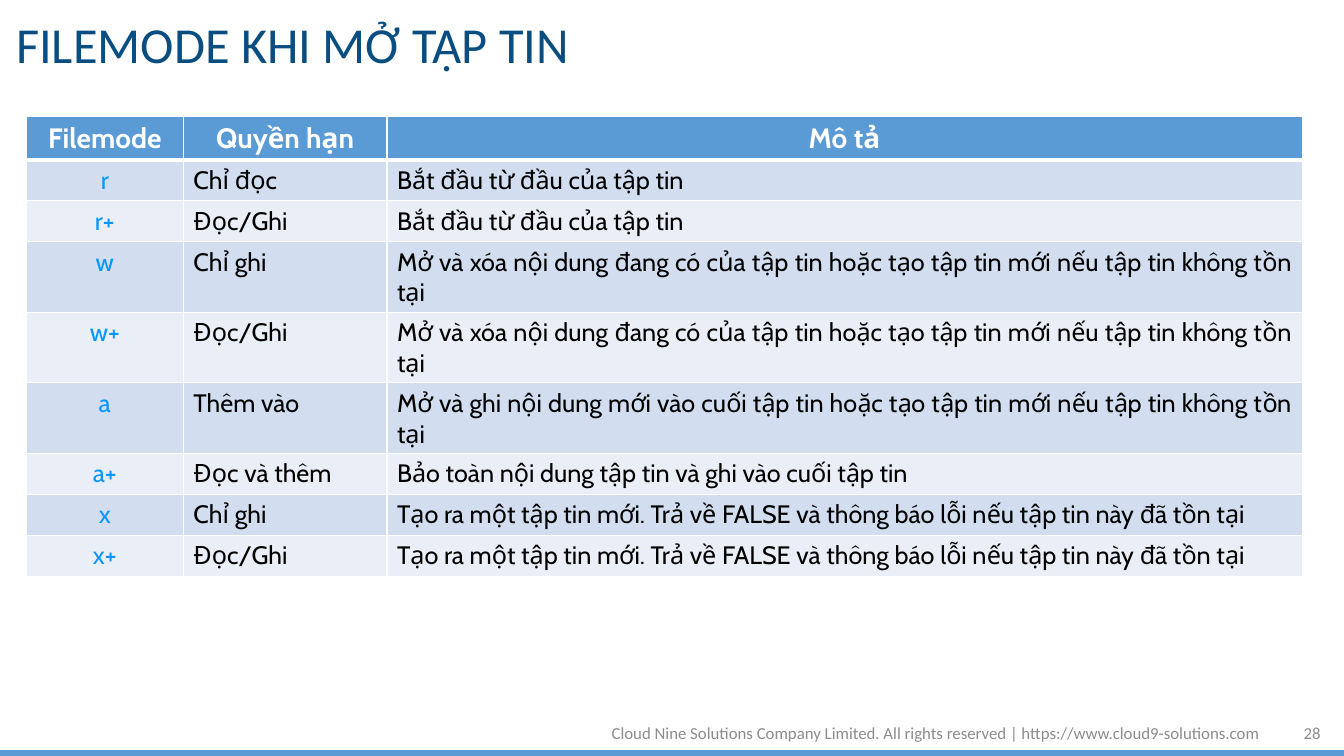
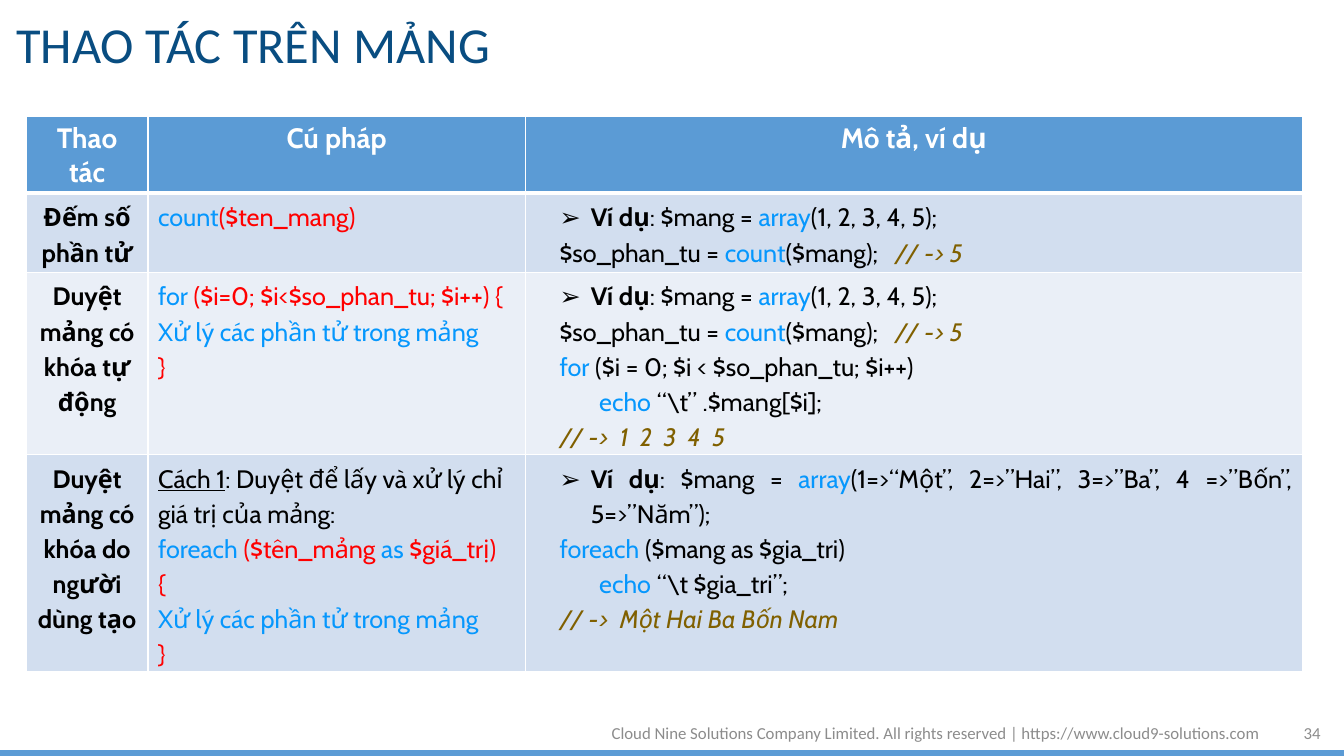
"""Build two slides on PHP file modes and array operations."""
from lxml import etree
from pptx import Presentation
from pptx import util as u
from pptx.dml.color import RGBColor
from pptx.enum import shapes, text
from pptx.oxml.ns import qn

BLUE, NAVY, GREY, BLACK, WHITE = "5B9BD5", "094D81", "8C8C8C", "000000", "FFFFFF"
BAND_FILLS = ("D2DEEF", "EAEFF7")
FOOTER = ("Cloud Nine Solutions Company Limited. All rights reserved | "
          "https://www.cloud9-solutions.com")
ALIGN = text.PP_ALIGN
TABLE_LEFT, TABLE_TOP, ROW_HEIGHT = 18.7, 82.8, 29.3

PLAIN = {"color": BLACK}
BOLD = {"color": BLACK, "bold": True}
UNDERLINED = {"color": BLACK, "underline": True}
KEYWORD = {"color": "0697FD"}
ARGUMENT = {"color": "FF0000"}
COMMENT = {"color": "806000", "italic": True}

OVERWRITE = ("Mở và xóa nội dung đang có của tập tin hoặc tạo tập tin mới "
             "nếu tập tin không tồn tại")
CREATE = "Tạo ra một tập tin mới. Trả về FALSE và thông báo lỗi nếu tập tin này đã tồn tại"
FROM_START = "Bắt đầu từ đầu của tập tin"
FILE_MODES = [
    ("r", "Chỉ đọc", FROM_START),
    ("r+", "Đọc/Ghi", FROM_START),
    ("w", "Chỉ ghi", OVERWRITE),
    ("w+", "Đọc/Ghi", OVERWRITE),
    ("a", "Thêm vào", "Mở và ghi nội dung mới vào cuối tập tin hoặc tạo tập tin mới "
                      "nếu tập tin không tồn tại"),
    ("a+", "Đọc và thêm", "Bảo toàn nội dung tập tin và ghi vào cuối tập tin"),
    ("x", "Chỉ ghi", CREATE),
    ("x+", "Đọc/Ghi", CREATE),
]


def array_example(values):
    """Return the runs of an example line that fills an array."""
    return [("Ví dụ", BOLD), (": $mang = ", PLAIN), ("array", KEYWORD), (values, PLAIN)]


def echo_line(argument):
    """Return the runs of an indented echo statement."""
    return [("       ", PLAIN), ("echo", KEYWORD), (argument, PLAIN)]


COUNT_EXAMPLE = [
    array_example("(1, 2, 3, 4, 5);"),
    [("$so_phan_tu = ", PLAIN), ("count", KEYWORD), ("($mang);   ", PLAIN),
     ("// -> 5", COMMENT)],
]
LOOP_BODY = [("Xử lý các phần tử trong mảng", KEYWORD)]
LOOP_END = [("}", ARGUMENT)]
ARRAY_OPERATIONS = [
    ("Đếm số phần tử",
     [[("count", KEYWORD), ("($ten_mang)", ARGUMENT)]],
     COUNT_EXAMPLE),
    ("Duyệt mảng có khóa tự động",
     [[("for", KEYWORD), (" ($i=0; $i<$so_phan_tu; $i++) {", ARGUMENT)],
      LOOP_BODY, LOOP_END],
     COUNT_EXAMPLE + [
         [("for", KEYWORD), (" ($i = 0; $i < $so_phan_tu; $i++)", PLAIN)],
         echo_line(" “\\t” .$mang[$i];"),
         [("// ->  1  2  3  4  5", COMMENT)]]),
    ("Duyệt mảng có khóa do người dùng tạo",
     [[("Cách 1", UNDERLINED), (": Duyệt để lấy và xử lý chỉ giá trị của mảng:", PLAIN)],
      [("foreach", KEYWORD), (" ($tên_mảng ", ARGUMENT), ("as", KEYWORD),
       (" $giá_trị)", ARGUMENT)],
      [("{", ARGUMENT)], LOOP_BODY, LOOP_END],
     [array_example("(1=>“Một”, 2=>”Hai”, 3=>”Ba”, 4 =>”Bốn”, 5=>”Năm”);"),
      [("foreach", KEYWORD), (" ($mang as $gia_tri)", PLAIN)],
      echo_line(" “\\t $gia_tri”;"),
      [("// ->  Một Hai Ba Bốn Nam", COMMENT)]]),
]


def rgb(color):
    """Turn a hex string into a colour."""
    return RGBColor.from_string(color)


def write(paragraph, words, size=18, color=BLACK, font="Cabin",
          bold=False, italic=False, underline=False):
    """Add a formatted run to a paragraph."""
    run = paragraph.add_run()
    run.text = words
    run.font.size, run.font.name = u.Pt(size), font
    run.font.bold, run.font.italic, run.font.underline = bold, italic, underline
    run.font.color.rgb = rgb(color)


def indent(paragraph, left, first=0, bullet=None):
    """Indent a paragraph and give it an optional bullet."""
    properties = paragraph._p.get_or_add_pPr()
    properties.set("marL", str(u.Pt(left)))
    properties.set("indent", str(u.Pt(first)))
    if bullet:
        etree.SubElement(properties, qn("a:buFont")).set("typeface", "Arial")
        etree.SubElement(properties, qn("a:buChar")).set("char", bullet)


def add_borders(cell, **widths):
    """Draw white borders on the sides of a cell named by their widths."""
    properties = cell._tc.get_or_add_tcPr()
    for position, (side, width) in enumerate(widths.items()):
        line = etree.Element(qn("a:ln" + side), w=str(u.Pt(width)))
        fill = etree.SubElement(line, qn("a:solidFill"))
        etree.SubElement(fill, qn("a:srgbClr")).set("val", WHITE)
        properties.insert(position, line)


def add_footer_text(slide, words, left, width):
    """Add a right-aligned text box at the foot of a slide."""
    frame = slide.shapes.add_textbox(*map(u.Pt, (left, 509, width, 28.8))).text_frame
    frame.word_wrap = True
    frame.vertical_anchor = text.MSO_ANCHOR.MIDDLE
    frame.paragraphs[0].alignment = ALIGN.RIGHT
    write(frame.paragraphs[0], words, size=12, color=GREY, font="Calibri")


def add_slide(presentation, title, number):
    """Add a slide with its title, band and footer."""
    slide = presentation.slides.add_slide(presentation.slide_layouts[5])
    band = slide.shapes.add_shape(shapes.MSO_SHAPE.RECTANGLE, 0, u.Pt(536.4),
                                  u.Pt(960), u.Pt(3.6))
    band.shadow.inherit = False
    band.fill.solid()
    band.fill.fore_color.rgb = band.line.color.rgb = rgb(BLUE)
    band.line.width = u.Pt(1.25)

    heading = slide.shapes.title
    heading.left, heading.top, heading.width, heading.height = map(
        u.Pt, (4.3, 5, 851.8, 57.6))
    heading.text_frame.vertical_anchor = text.MSO_ANCHOR.MIDDLE
    heading.text_frame.auto_size = text.MSO_AUTO_SIZE.NONE
    paragraph = heading.text_frame.paragraphs[0]
    paragraph.alignment, paragraph.line_spacing = ALIGN.LEFT, 0.9
    write(paragraph, title, size=36, color=NAVY, font="Calibri")

    add_footer_text(slide, str(number), 912.2, 38.2)
    add_footer_text(slide, FOOTER, 339.8, 567.4)
    return slide


def add_grid(slide, headers, widths, row_count):
    """Add a table with a filled header row and banded body rows."""
    table = slide.shapes.add_table(
        row_count + 1, len(headers), u.Pt(TABLE_LEFT), u.Pt(TABLE_TOP),
        u.Pt(sum(widths)), u.Pt(ROW_HEIGHT * (row_count + 1))).table
    for column, width in zip(table.columns, widths):
        column.width = u.Pt(width)
    for index, row in enumerate(table.rows):
        for cell in row.cells:
            cell.fill.solid()
            cell.fill.fore_color.rgb = rgb(BAND_FILLS[(index - 1) % 2] if index else BLUE)
            add_borders(cell, L=1, R=1, T=1 if index != 1 else 3, B=1 if index else 3)
    for cell, header in zip(table.rows[0].cells, headers):
        paragraph = cell.text_frame.paragraphs[0]
        paragraph.alignment = ALIGN.CENTER
        write(paragraph, header, size=20, color=WHITE, bold=True)
    return table


def fill_cell(cell, lines, align, spacing=1.0, example=False):
    """Write lines of runs into a cell, as a bulleted example if asked."""
    frame = cell.text_frame
    for index, runs in enumerate(lines):
        paragraph = frame.add_paragraph() if index else frame.paragraphs[0]
        paragraph.alignment, paragraph.line_spacing = align, spacing
        if example and index == 0:
            indent(paragraph, 39.6, -22.3, "➢")
        elif example:
            indent(paragraph, 17.3)
        for words, style in runs:
            write(paragraph, words, **style)


def build_file_modes(presentation):
    """Build the slide on file modes."""
    slide = add_slide(presentation, "FILEMODE KHI MỞ TẬP TIN", 28)
    table = add_grid(slide, ("Filemode", "Quyền hạn", "Mô tả"),
                     (112.3, 145.4, 653.8), len(FILE_MODES))
    for index, texts in enumerate(FILE_MODES, 1):
        for column, words in enumerate(texts):
            align, style = (ALIGN.JUSTIFY, PLAIN) if column else (ALIGN.CENTER, KEYWORD)
            fill_cell(table.cell(index, column), [[(words, style)]], align)


def build_array_operations(presentation):
    """Build the slide on array operations."""
    slide = add_slide(presentation, "THAO TÁC TRÊN MẢNG", 34)
    table = add_grid(slide, ("Thao tác", "Cú pháp", "Mô tả, ví dụ"),
                     (87, 269.5, 555), len(ARRAY_OPERATIONS))
    for index, (name, syntax, example) in enumerate(ARRAY_OPERATIONS, 1):
        cells = table.rows[index].cells
        fill_cell(cells[0], [[(name, BOLD)]], ALIGN.CENTER, 1.14)
        fill_cell(cells[1], syntax, ALIGN.LEFT, 1.14)
        fill_cell(cells[2], example, ALIGN.JUSTIFY, 1.14, example=True)


def main():
    """Build and save the presentation."""
    presentation = Presentation()
    presentation.slide_width, presentation.slide_height = u.Pt(960), u.Pt(540)
    build_file_modes(presentation)
    build_array_operations(presentation)
    presentation.save("out.pptx")


if __name__ == "__main__":
    main()
